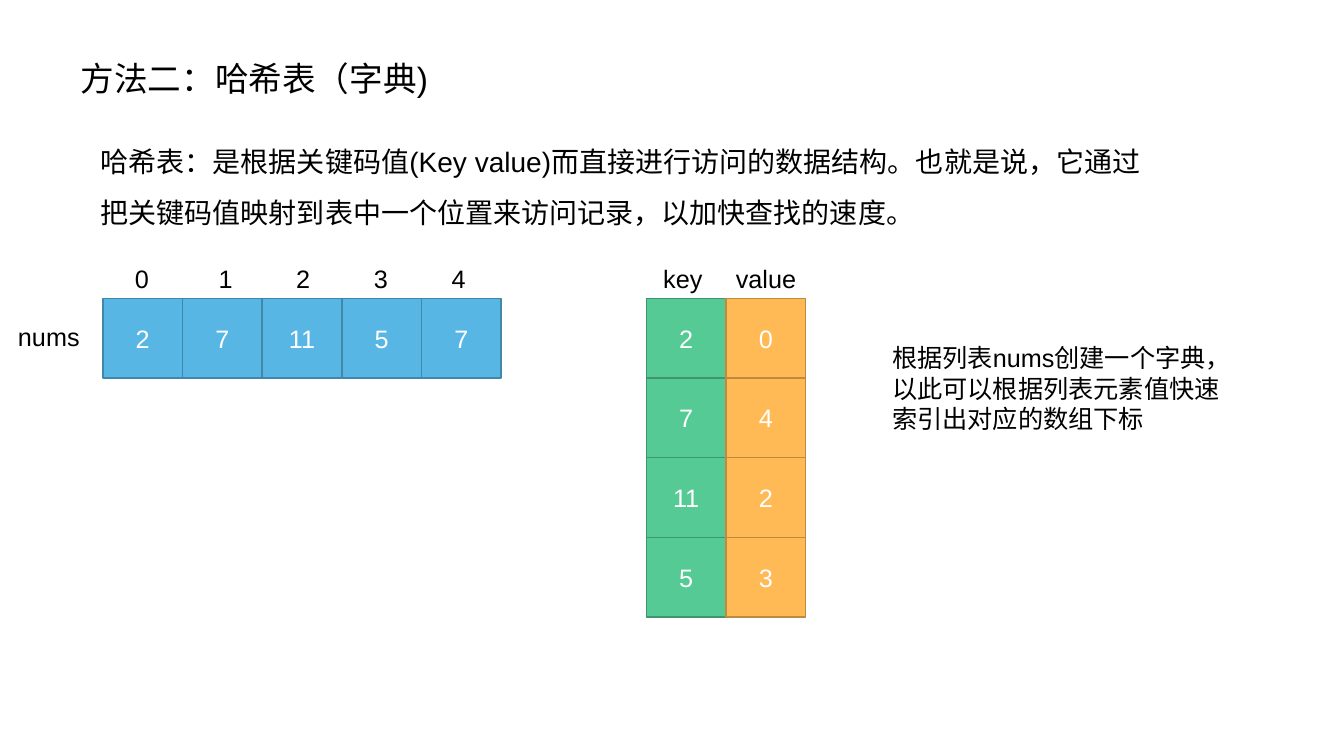
from pptx import Presentation
from pptx.dml.color import RGBColor
from pptx.enum.shapes import MSO_SHAPE
from pptx.enum.text import MSO_ANCHOR, MSO_AUTO_SIZE, PP_ALIGN
from pptx.oxml.ns import qn
from pptx.util import Inches, Pt
from lxml import etree

RECTANGLE = MSO_SHAPE.RECTANGLE
TOP, MIDDLE = MSO_ANCHOR.TOP, MSO_ANCHOR.MIDDLE
LEFT, CENTER = PP_ALIGN.LEFT, PP_ALIGN.CENTER
NO_AUTOFIT = MSO_AUTO_SIZE.NONE

BLACK = RGBColor(0x00, 0x00, 0x00)
WHITE = RGBColor(0xFF, 0xFF, 0xFF)
BLUE, BLUE_EDGE = RGBColor(0x58, 0xB6, 0xE5), RGBColor(0x41, 0x87, 0xA9)
GREEN, GREEN_EDGE = RGBColor(0x56, 0xCA, 0x95), RGBColor(0x40, 0x95, 0x6E)
ORANGE, ORANGE_EDGE = RGBColor(0xFF, 0xBA, 0x55), RGBColor(0xBD, 0x8A, 0x3F)

CELL = 0.79
ROW_TOP = 2.96
LABEL_TOP = 2.56
LABEL_HEIGHT = 0.4
NUMS_LEFT, KEY_LEFT = 1.02, 6.41
VALUE_LEFT = KEY_LEFT + CELL


class HashTableSlide:
    font_name = "Arial"

    def __init__(self, prs):
        self.slide = prs.slides.add_slide(prs.slide_layouts[5])

    def style(self, paragraph, size, color, align=LEFT):
        paragraph.alignment = align
        for run in paragraph.runs:
            run.font.name = self.font_name
            run.font.size = Pt(size)
            run.font.color.rgb = color

    def title(self, text, left, top, width, height):
        heading = self.slide.shapes.title
        heading.left, heading.top = Inches(left), Inches(top)
        heading.width, heading.height = Inches(width), Inches(height)
        frame = heading.text_frame
        frame.text = text
        frame.auto_size = NO_AUTOFIT
        frame.vertical_anchor = TOP
        self.style(frame.paragraphs[0], 24, BLACK)

    def text(self, text, left, top, width, height, size=18, wrap=True,
             line_spacing=None, tabs=()):
        box = self.slide.shapes.add_textbox(
            Inches(left), Inches(top), Inches(width), Inches(height))
        frame = box.text_frame
        frame.word_wrap = wrap
        frame.text = text
        paragraph = frame.paragraphs[0]
        if line_spacing:
            paragraph.line_spacing = line_spacing
        if tabs:
            properties = paragraph._p.get_or_add_pPr()
            tab_list = etree.SubElement(properties, qn("a:tabLst"))
            for position in tabs:
                etree.SubElement(tab_list, qn("a:tab"),
                                 pos=str(Inches(position)), algn="l")
        self.style(paragraph, size, BLACK)

    def cell(self, text, left, top, fill, edge):
        square = self.slide.shapes.add_shape(
            RECTANGLE, Inches(left), Inches(top), Inches(CELL), Inches(CELL))
        square.shadow.inherit = False
        square.fill.solid()
        square.fill.fore_color.rgb = fill
        square.line.color.rgb = edge
        square.line.width = Pt(1)
        square.text_frame.text = text
        square.text_frame.vertical_anchor = MIDDLE
        self.style(square.text_frame.paragraphs[0], 18, WHITE, CENTER)

    def cells(self, values, left, fill, edge, across=0, down=0):
        for i, value in enumerate(values):
            self.cell(str(value), left + i * across, ROW_TOP + i * down, fill, edge)


def main():
    prs = Presentation()
    prs.slide_width, prs.slide_height = Inches(13.33), Inches(7.5)
    page = HashTableSlide(prs)

    # Heading and definition
    page.title("方法二：哈希表（字典)", 0.7, 0.52, 5.01, 0.5)
    page.text("哈希表：是根据关键码值(Key value)而直接进行访问的数据结构。"
              "也就是说，它通过把关键码值映射到表中一个位置来访问记录，以加快查找的速度。",
              0.9, 1.22, 10.66, 1.11, size=20, line_spacing=1.5)

    # List with its indices
    nums = [2, 7, 11, 5, 7]
    page.cells(nums, NUMS_LEFT, BLUE, BLUE_EDGE, across=CELL)
    page.text("nums", 0.08, 3.14, 0.81, LABEL_HEIGHT, wrap=False)
    index_tabs = [0.21] + [1.04 + 0.77 * i for i in range(len(nums) - 1)]
    page.text("".join(f"\t{i}" for i in range(len(nums))),
              1.03, LABEL_TOP, 3.95, LABEL_HEIGHT, tabs=index_tabs)

    # Dictionary from element to its last index
    positions = {number: i for i, number in enumerate(nums)}
    page.cells(positions.keys(), KEY_LEFT, GREEN, GREEN_EDGE, down=CELL)
    page.cells(positions.values(), VALUE_LEFT, ORANGE, ORANGE_EDGE, down=CELL)
    page.text("key", 6.48, LABEL_TOP, 0.66, LABEL_HEIGHT, wrap=False)
    page.text("value", VALUE_LEFT, LABEL_TOP, 0.85, LABEL_HEIGHT, wrap=False)

    # Explanation
    page.text("根据列表nums创建一个字典，以此可以根据列表元素值快速索引出对应的数组下标",
              8.75, 3.35, 3.5, 1.19)

    prs.save("out.pptx")


if __name__ == "__main__":
    main()
